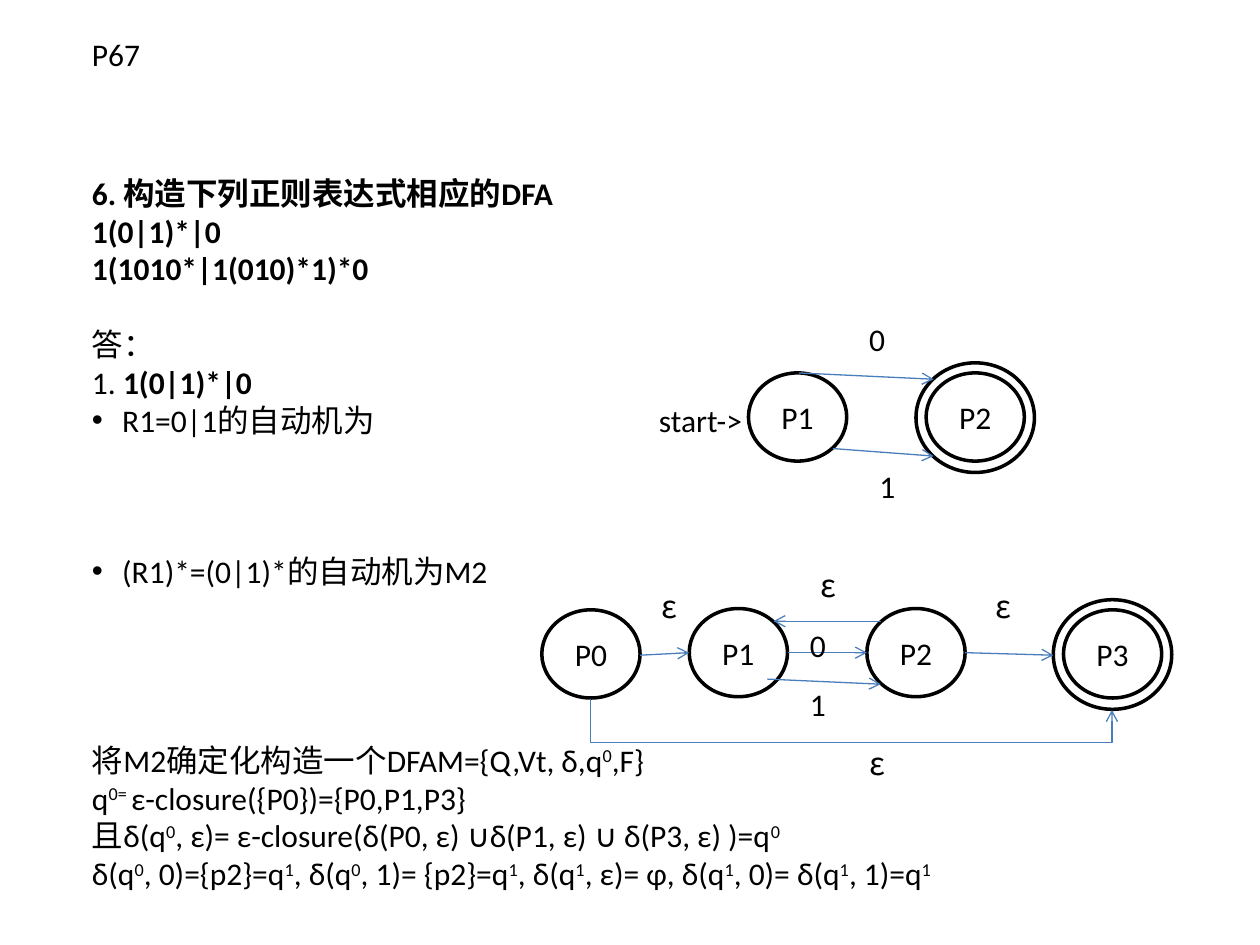
from lxml.etree import SubElement as Sub
from pptx import Presentation
from pptx.dml.color import RGBColor as RGB
from pptx.enum.shapes import MSO_CONNECTOR as Link, MSO_SHAPE as Kind
from pptx.enum.text import MSO_ANCHOR as Anchor, MSO_AUTO_SIZE as Fit, PP_ALIGN as Align
from pptx.oxml.ns import qn
from pptx.util import Inches, Pt

COLORS = {"ink": "000000", "link": "4A7EBB"}
LATIN, GREEK = "Calibri", "Noto Sans CJK SC"
LINE = 21.6  # height of one text line in points


def write(para, text, bold=False, face=LATIN):
    """Add text in 18 pt; parts between ^ marks are raised."""
    for i, part in enumerate(text.split("^")):
        if not part:
            continue
        run = para.add_run()
        run.text = part
        look = {"size": Pt(18), "bold": bold, "name": face}
        for key, val in look.items():
            setattr(run.font, key, val)
        run.font.color.rgb = RGB.from_string(COLORS["ink"])
        props = run._r.get_or_add_rPr()
        Sub(props, qn("a:ea")).set("typeface", GREEK)
        if i % 2:
            props.set("baseline", "30000")


def join(kind, x1, y1, x2, y2):
    """Draw a thin connector with an open arrowhead at its end."""
    link = slide.shapes.add_connector(kind, *map(Inches, (x1, y1, x2, y2)))
    link.line.color.rgb = RGB.from_string(COLORS["link"])
    link.line.width = Pt(0.75)
    Sub(link.line._get_or_add_ln(), qn("a:tailEnd")).set("type", "arrow")
    Sub(link._element.spPr, qn("a:effectLst"))
    return link


prs = Presentation()
prs.slide_width, prs.slide_height = Inches(10), Inches(7.5)
slide = prs.slides.add_slide(prs.slide_layouts[1])
title, body = slide.shapes.title, slide.placeholders[1]

# Title and body text
for holder, box in ((title, (0.63, 0.23, 8.75, 0.4)), (body, (0.63, 1.33, 8.52, 6.13))):
    holder.left, holder.top, holder.width, holder.height = map(Inches, box)
    frame = holder.text_frame
    frame.auto_size, frame.vertical_anchor = Fit.NONE, Anchor.TOP
title.text_frame.paragraphs[0].alignment = Align.LEFT
write(title.text_frame.paragraphs[0], "P67")

# Free lines above, bullet, then (text, bold) parts
rows = [
    (0, False, [("6. 构造下列正则表达式相应的DFA", True)]),
    (0, False, [("1(0|1)*|0", True)]),
    (0, False, [("1(1010*|1(010)*1)*0", True)]),
    (1, False, [("答：", False)]),
    (0, False, [("1. ", False), ("1(0|1)*|0", True)]),
    (0, True, [("R1=0|1的自动机为\tstart->", False)]),
    (3, True, [("(R1)*=(0|1)*的自动机为M2", False)]),
    (4, False, [("将M2确定化构造一个DFAM={Q,Vt, δ,q^0^,F}", False)]),
    (0, False, [("q^0= ^ε-closure({P0})={P0,P1,P3}", False)]),
    (0, False, [("且δ(q^0^, ε)= ε-closure(δ(P0, ε) ∪δ(P1, ε) ∪ δ(P3, ε) )=q^0^", False)]),
    (0, False, [("δ(q^0^, 0)={p2}=q^1^, δ(q^0^, 1)= {p2}=q^1^, δ(q^1^, ε)= φ, "
                 "δ(q^1^, 0)= δ(q^1^, 1)=q^1^", False)]),
]
for i, (gap, dot, parts) in enumerate(rows):
    para = body.text_frame.add_paragraph() if i else body.text_frame.paragraphs[0]
    para.space_before = Pt(gap * LINE)
    props = para._p.get_or_add_pPr()
    hang = Inches(0.24) if dot else 0
    props.set("marL", str(hang))
    props.set("indent", str(-hang))
    if dot:
        Sub(props, qn("a:buChar")).set("char", "•")
        tab = Sub(Sub(props, qn("a:tabLst")), qn("a:tab"))
        tab.set("pos", str(Inches(4.5)))
        tab.set("algn", "l")
    else:
        Sub(props, qn("a:buNone"))
    for text, bold in parts:
        write(para, text, bold)

# States; a final state has a second ring around it
states = [("P1", 5.94, 2.96, False), ("P2", 7.35, 2.96, True),
          ("P0", 4.3, 4.84, False), ("P1", 5.47, 4.83, False),
          ("P2", 6.88, 4.83, False), ("P3", 8.44, 4.84, True)]
for name, x, y, final in states:
    rings = [(name, x, y, 0.78, 0.7)]
    if final:
        rings.append(("", x - 0.08, y - 0.08, 0.94, 0.87))
    for text, *box in rings:
        ring = slide.shapes.add_shape(Kind.OVAL, *map(Inches, box))
        ring.shadow.inherit = False
        ring.fill.background()
        ring.line.color.rgb = RGB.from_string(COLORS["ink"])
        ring.line.width = Pt(2)
        if text:
            ring.text_frame.vertical_anchor = Anchor.MIDDLE
            para = ring.text_frame.paragraphs[0]
            para.alignment = Align.CENTER
            write(para, text)

# Moves between states
moves = [(6.34, 2.96, 7.41, 3.01), (6.61, 3.56, 7.41, 3.62),
         (5.08, 5.2, 5.47, 5.18), (6.25, 5.18, 6.88, 5.18),
         (6.99, 4.93, 6.14, 4.93), (6.09, 5.39, 6.99, 5.43),
         (7.66, 5.18, 8.36, 5.2)]
for ends in moves:
    join(Link.STRAIGHT, *ends)

# The bypass from P0 to P3 runs below the other states
bypass = join(Link.ELBOW, 6.71, 3.52, 6.8, 7.66)
frame = bypass._element.spPr.find(qn("a:xfrm"))
frame.set("rot", "16200000")
frame.set("flipH", "1")
guide = Sub(bypass._element.spPr.find(qn("a:prstGeom")).find(qn("a:avLst")), qn("a:gd"))
guide.set("name", "adj1")
guide.set("fmla", "val 384000")

# Input symbols on the moves
marks = [("0", 6.8, 2.49), ("1", 6.88, 3.66), ("ε", 6.41, 4.44), ("0", 6.33, 4.92),
         ("ε", 5.15, 4.61), ("ε", 7.8, 4.61), ("1", 6.33, 5.39), ("ε", 6.8, 5.86)]
for text, x, y in marks:
    mark = slide.shapes.add_textbox(*map(Inches, (x, y, 0.31, 0.4)))
    mark.text_frame.word_wrap = True
    write(mark.text_frame.paragraphs[0], text, face=GREEK if text == "ε" else LATIN)

prs.save("out.pptx")
